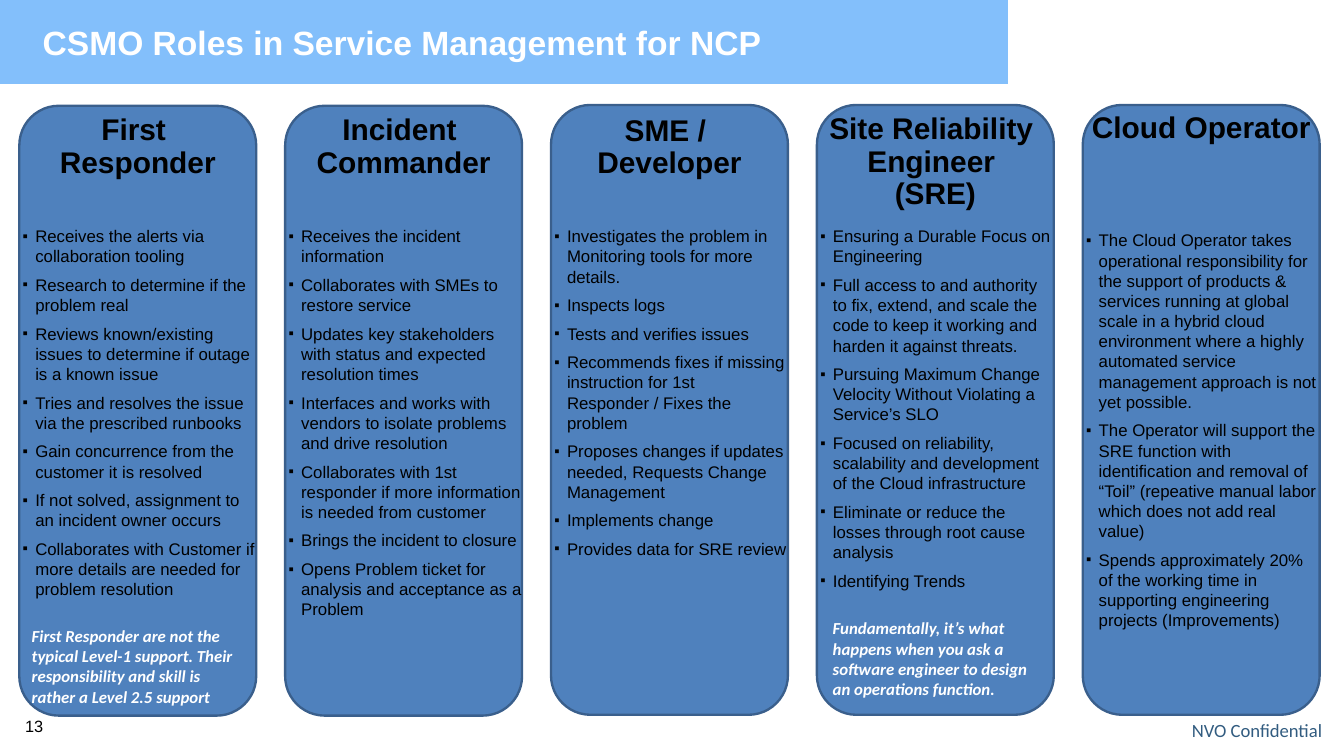
import dataclasses

import lxml.etree
import pptx
import pptx.dml.color
import pptx.enum.shapes
import pptx.enum.text
import pptx.oxml.ns
import pptx.util

Inches, Pt = pptx.util.Inches, pptx.util.Pt
Align, Anchor = pptx.enum.text.PP_ALIGN, pptx.enum.text.MSO_ANCHOR


@dataclasses.dataclass(frozen=True)
class Theme:
    banner: str = "5AAAFA"
    card: str = "4F81BD"
    card_edge: str = "3A5F8C"
    ink: str = "000000"
    light: str = "FFFFFF"
    footer: str = "325C80"
    sans: str = "Arial"
    note_font: str = "Calibri"
    title_size: float = 28.8
    heading_size: float = 25.6
    body_size: float = 14.4
    number_size: float = 14
    footer_size: float = 16


@dataclasses.dataclass
class Role:
    heading: str
    duties: list
    card_top: float = 1.25
    heading_top: float = 1.37
    duties_top: float = 2.69
    note: str = ""
    note_left: float = 0.07
    note_top: float = 7.4


ROLES = [
    Role("First \vResponder", [
        "Receives the alerts via collaboration tooling",
        "Research to determine if the problem real",
        "Reviews known/existing issues to determine if outage is a known issue",
        "Tries and resolves the issue via the prescribed runbooks",
        "Gain concurrence from the customer it is resolved",
        "If not solved, assignment to an incident owner occurs",
        "Collaborates with Customer if more details are needed for problem resolution",
    ], card_top=1.26, note_left=0.05,
        note="First Responder are not the typical Level-1 support. "
             "Their responsibility and skill is rather a Level 2.5 support"),
    Role("Incident \vCommander", [
        "Receives the incident information",
        "Collaborates with SMEs to restore service",
        "Updates key stakeholders with status and expected resolution times",
        "Interfaces and works with vendors to isolate problems and drive resolution",
        "Collaborates with 1st responder if more information is needed from customer",
        "Brings the incident to closure",
        "Opens Problem ticket for analysis and acceptance as a Problem",
    ], card_top=1.26),
    Role("SME / \vDeveloper", [
        "Investigates the problem in Monitoring tools for more details.",
        "Inspects logs",
        "Tests and verifies issues",
        "Recommends fixes if missing instruction for 1st Responder / Fixes the problem",
        "Proposes changes if updates needed, Requests Change Management",
        "Implements change",
        "Provides data for SRE review",
    ], heading_top=1.38),
    Role("Site Reliability \vEngineer \v(SRE)", [
        "Ensuring a Durable Focus on Engineering",
        "Full access to and authority to fix, extend, and scale the code "
        "to keep it working and harden it against threats.",
        "Pursuing Maximum Change Velocity Without Violating a Service’s SLO",
        "Focused on reliability, scalability and development of the Cloud infrastructure",
        "Eliminate or reduce the losses through root cause analysis",
        "Identifying Trends",
    ], heading_top=1.36, note_left=0.09, note_top=7.31,
        note="Fundamentally, it’s what happens when you ask a software engineer "
             "to design an operations function."),
    Role("Cloud Operator", [
        "The Cloud Operator takes operational responsibility for the support of "
        "products & services running at global scale in a hybrid cloud environment "
        "where a highly automated service management approach is not yet possible.",
        "The Operator will support the SRE function with identification and removal "
        "of “Toil” (repeative manual labor which does not add real value)",
        "Spends approximately 20% of the working time in supporting engineering "
        "projects (Improvements)",
    ], heading_top=1.34, duties_top=2.74),
]


class Page:
    WIDTH, HEIGHT = 16, 9
    FIRST_COLUMN, COLUMN_STEP, COLUMN_WIDTH = 0.23, 3.165, 2.82

    def __init__(self, deck, theme):
        deck.slide_width, deck.slide_height = Inches(self.WIDTH), Inches(self.HEIGHT)
        self.theme = theme
        self.shapes = deck.slides.add_slide(deck.slide_layouts[6]).shapes

    def column(self, index):
        return self.FIRST_COLUMN + index * self.COLUMN_STEP

    def color(self, value):
        return pptx.dml.color.RGBColor.from_string(value)

    def banner(self, top_right, bottom_right, height):
        builder = self.shapes.build_freeform(0, 0, scale=Inches(1))
        builder.add_line_segments([(top_right, 0), (bottom_right, height), (0, height)])
        shape = builder.convert_to_shape()
        shape.shadow.inherit = False
        shape.line.fill.background()
        shape.fill.solid()
        shape.fill.fore_color.rgb = self.color(self.theme.banner)
        tint = shape.fill._xPr.find(".//" + pptx.oxml.ns.qn("a:srgbClr"))
        lxml.etree.SubElement(tint, pptx.oxml.ns.qn("a:alpha"), val="75000")

    def card(self, left, top, height=7.26):
        shape = self.shapes.add_shape(
            pptx.enum.shapes.MSO_SHAPE.ROUNDED_RECTANGLE,
            Inches(left), Inches(top), Inches(self.COLUMN_WIDTH), Inches(height))
        shape.shadow.inherit = False
        shape.fill.solid()
        shape.fill.fore_color.rgb = self.color(self.theme.card)
        shape.line.color.rgb = self.color(self.theme.card_edge)
        shape.line.width = Pt(2)

    def text(self, place, lines, size, color, font=None, bold=False, italic=False,
             align=Align.LEFT, anchor=Anchor.TOP, spacing=None, inset=True, bullets=False):
        box = self.shapes.add_textbox(*(Inches(length) for length in place))
        frame = box.text_frame
        frame.word_wrap = True
        frame.vertical_anchor = anchor
        if not inset:
            frame.margin_left = frame.margin_right = 0
            frame.margin_top = frame.margin_bottom = 0
        for index, line in enumerate(lines):
            para = frame.add_paragraph() if index else frame.paragraphs[0]
            para.text = line
            para.alignment = align
            if spacing:
                para.line_spacing = spacing
            if bullets:
                para.space_before = Pt(size / 2 if index else 0)
                self.bullet(para)
            para.font.name = font or self.theme.sans
            para.font.size = Pt(size)
            para.font.bold, para.font.italic = bold, italic
            para.font.color.rgb = self.color(color)

    def bullet(self, para):
        qn = pptx.oxml.ns.qn
        properties = para._p.get_or_add_pPr()
        properties.set("marL", str(Inches(0.19)))
        properties.set("indent", str(Inches(-0.15)))
        tint = lxml.etree.SubElement(properties, qn("a:buClr"))
        lxml.etree.SubElement(tint, qn("a:srgbClr"), val=self.theme.ink)
        lxml.etree.SubElement(properties, qn("a:buSzPct"), val="90000")
        lxml.etree.SubElement(properties, qn("a:buFont"), typeface=self.theme.sans)
        lxml.etree.SubElement(properties, qn("a:buChar"), char="▪")

    def role(self, index, role):
        theme, left, width = self.theme, self.column(index), self.COLUMN_WIDTH
        self.card(left, role.card_top)
        self.text((left, role.heading_top, width, 0.39 * (role.heading.count("\v") + 1)),
                  [role.heading], theme.heading_size, theme.ink, bold=True,
                  align=Align.CENTER, spacing=0.9, inset=False)
        self.text((left, role.duties_top, width, 4.8), role.duties,
                  theme.body_size, theme.ink, inset=False, bullets=True)
        if role.note:
            self.text((left + role.note_left, role.note_top, 2.73, 1.07), [role.note],
                      theme.body_size, theme.light, theme.note_font, bold=True, italic=True)


def main():
    deck, theme = pptx.Presentation(), Theme()
    page = Page(deck, theme)

    # Banner and title
    page.banner(11.59, 12.22, 0.86)
    page.text((0.41, 0.3, 13.8, 0.75), ["CSMO Roles in Service Management for NCP"],
              theme.title_size, theme.light, bold=True, spacing=0.8)

    # Role columns
    for index, role in enumerate(ROLES):
        page.role(index, role)

    # Page number and footer
    page.text((0.2, 8.46, 0.47, 0.37), ["13"], theme.number_size, theme.ink,
              anchor=Anchor.MIDDLE)
    page.text((11.34, 8.56, 4.4, 0.27), ["NVO Confidential"], theme.footer_size,
              theme.footer, theme.note_font, align=Align.RIGHT, inset=False)

    deck.save("out.pptx")


if __name__ == "__main__":
    main()
